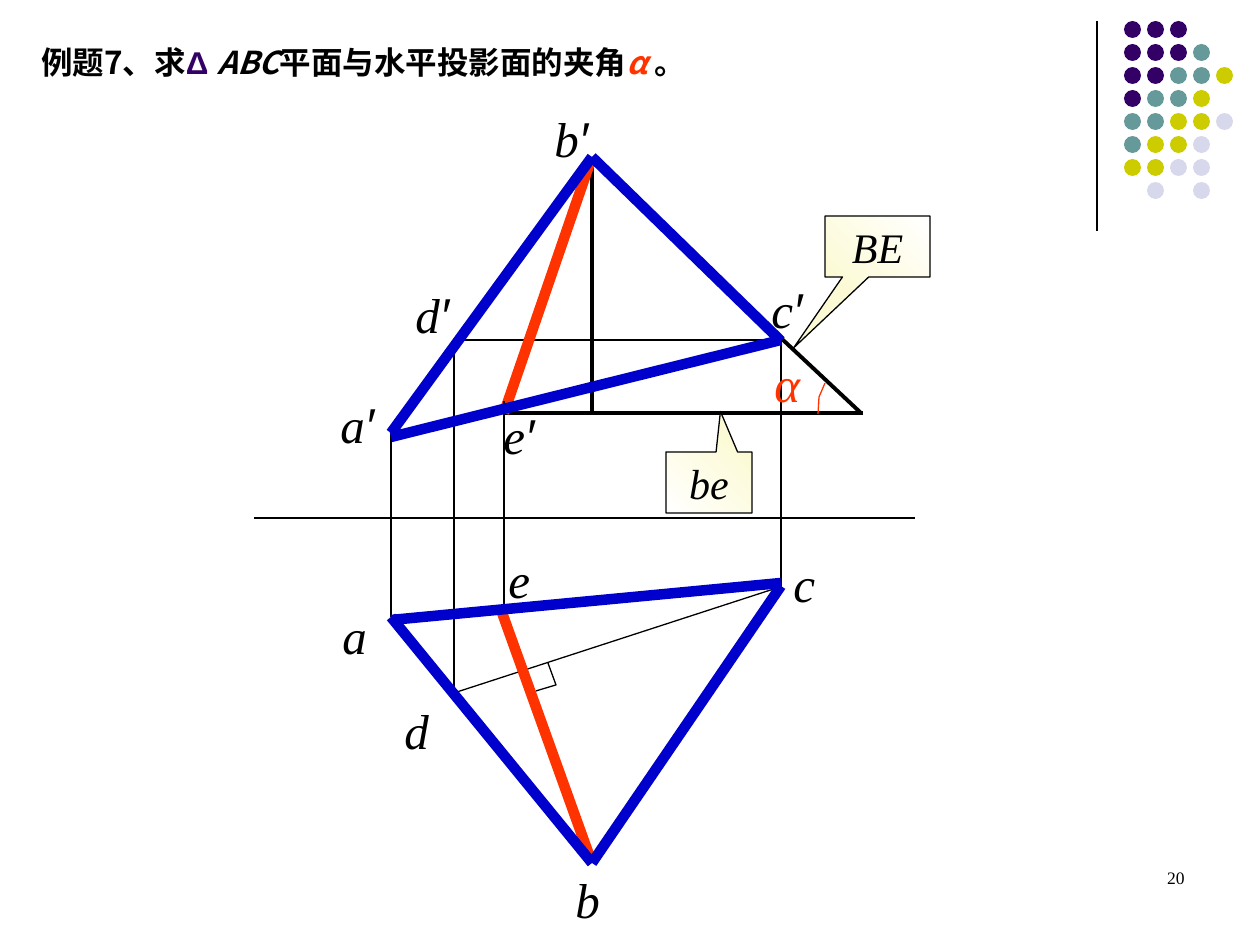
"""Build the slide on the angle between a triangle and the horizontal plane."""
from lxml.etree import SubElement as Sub
from pptx import Presentation
from pptx.dml.color import RGBColor as Rgb
from pptx.enum.shapes import MSO_CONNECTOR as Conn, MSO_SHAPE as Kind
from pptx.enum.text import MSO_ANCHOR as Anchor, PP_ALIGN as Align
from pptx.oxml.ns import qn
from pptx.util import Pt

PX = 914400 // 126
HUE = {"ink": "000000", "plum": "330066", "teal": "669999", "lime": "CCCC00",
       "mist": "D8D8EC", "red": "FF3300", "blue": "0000CC",
       "cream": "FCFAD4", "white": "FFFFFF"}
SERIF, SANS, HAN = "Times New Roman", "Arial", "Noto Sans CJK SC"

DOTS = ["PPP", "PPPT", "PPTTL", "PTTL", "TTLLM", "TLLM", "LLMM", " M M"]
KEYS = {"P": "plum", "T": "teal", "L": "lime", "M": "mist"}
RULE = [((1097, 21), (1097, 231), "ink", 0.75)]

TRUE = [
    ((505, 413), (863, 413), "ink", 2.25),
    ((592, 168), (592, 413), "ink", 2.25),
    ((861, 413), (591, 160), "ink", 2.25),
]
PLAN = [
    ((454, 693), (780, 587), "ink", 0.75),
    ((781, 340), (454, 340), "ink", 0.75),
    ((454, 340), (454, 693), "ink", 0.75),
    ((504, 413), (592, 157), "red", 6),
    ((504, 607), (504, 401), "ink", 0.75),
    ((592, 863), (500, 607), "red", 6),
    ((391, 433), (391, 617), "ink", 0.75),
    ((915, 518), (254, 518), "ink", 0.75),
    ((391, 433), (592, 157), "blue", 6),
    ((592, 157), (781, 341), "blue", 6),
    ((781, 341), (781, 587), "ink", 0.75),
    ((592, 863), (781, 586), "blue", 6),
    ((391, 617), (592, 863), "blue", 6),
    ((391, 437), (781, 340), "blue", 6),
    ((391, 620), (781, 583), "blue", 6),
]
BENDS = [
    ([(825, 383), (819, 397), (818, 414)], "red"),
    ([(548, 663), (556, 685), (536, 691)], "ink"),
]
CALLS = [
    ("be", (666, 452, 86, 61), (0.134, -1.165), ("cream", "white")),
    ("BE", (825, 216, 105, 61), (-0.8, 1.665), ("white", "cream")),
]
NAMES = [
    ("α", 762, 347, "red"), ("d′", 403, 278, "ink"), ("d", 392, 694, "ink"),
    ("e′", 491, 399, "ink"), ("e", 496, 543, "ink"), ("a′", 328, 388, "ink"),
    ("b′", 542, 102, "ink"), ("c′", 759, 273, "ink"), ("a", 330, 599, "ink"),
    ("b", 563, 863, "ink"), ("c", 781, 547, "ink"),
]
TITLE = [
    ("例题7、求", HAN, "ink", False), ("Δ ", SANS, "plum", False),
    ("ABC", HAN, "ink", True), ("平面与水平投影面的夹角", HAN, "ink", False),
    ("α ", HAN, "red", True), ("。", HAN, "ink", False),
]


def tint(key):
    return Rgb.from_string(HUE[key])


def emu(*nums):
    return [n * PX for n in nums]


def edge(line, key, width):
    line.color.rgb = tint(key)
    line.width = Pt(width)


def draw(shapes, rows):
    for start, end, key, width in rows:
        link = shapes.add_connector(Conn.STRAIGHT, *emu(*start, *end))
        edge(link.line, key, width)
        Sub(link._element.spPr, qn("a:effectLst"))


def write(para, text, face, key, **form):
    run = para.add_run()
    run.text = text
    run.font.color.rgb = tint(key)
    for name, value in {"name": face, **form}.items():
        setattr(run.font, name, value)
    Sub(run.font._element, qn("a:ea")).set("typeface", face)


def box(shapes, rect, wrap=True):
    frame = shapes.add_textbox(*emu(*rect)).text_frame
    frame.word_wrap = wrap
    return frame.paragraphs[0]


def dots(shapes, left=1124, top=21, size=17, step=23):
    for i, row in enumerate(DOTS):
        for j, mark in enumerate(row):
            if mark in KEYS:
                spot = emu(left + j * step, top + i * step, size, size)
                dot = shapes.add_shape(Kind.OVAL, *spot)
                dot.shadow.inherit = False
                dot.fill.solid()
                dot.fill.fore_color.rgb = tint(KEYS[mark])
                dot.line.fill.background()


def bends(shapes):
    for (start, *rest), key in BENDS:
        path = shapes.build_freeform(*start, scale=PX)
        path.add_line_segments(rest, close=False)
        bend = path.convert_to_shape()
        bend.shadow.inherit = False
        bend.fill.background()
        edge(bend.line, key, 0.75)


def calls(shapes):
    for text, rect, tip, ends in CALLS:
        call = shapes.add_shape(Kind.RECTANGULAR_CALLOUT, *emu(*rect))
        call.shadow.inherit = False
        for i, value in enumerate(tip):
            call.adjustments[i] = value
        call.fill.gradient()
        call.fill.gradient_angle = 225
        for stop, key in zip(call.fill.gradient_stops, ends):
            stop.color.rgb = tint(key)
        edge(call.line, "ink", 0.75)
        frame = call.text_frame
        frame.word_wrap = False
        frame.vertical_anchor = Anchor.MIDDLE
        para = frame.paragraphs[0]
        para.alignment = Align.CENTER
        write(para, text, SERIF, "ink", size=Pt(24), italic=True)


def names(shapes):
    for text, left, top, key in NAMES:
        para = box(shapes, (left, top, 88, 72))
        write(para, text[0], SERIF, key, size=Pt(28), italic=True)
        if text[1:]:
            write(para, text[1:], SANS, key, size=Pt(28), italic=True)


def main():
    deck = Presentation()
    deck.slide_width, deck.slide_height = emu(1260, 945)
    shapes = deck.slides.add_slide(deck.slide_layouts[6]).shapes
    draw(shapes, RULE)
    dots(shapes)
    draw(shapes, TRUE)
    calls(shapes)
    draw(shapes, PLAN)
    bends(shapes)
    names(shapes)
    head = box(shapes, (29, 37, 723, 50), wrap=False)
    for text, face, key, slant in TITLE:
        write(head, text, face, key, size=Pt(18), bold=True, italic=slant)
    page = box(shapes, (903, 861, 294, 63))
    page.alignment = Align.RIGHT
    write(page, "20", SERIF, "ink", size=Pt(10))
    deck.save("out.pptx")


if __name__ == "__main__":
    main()
